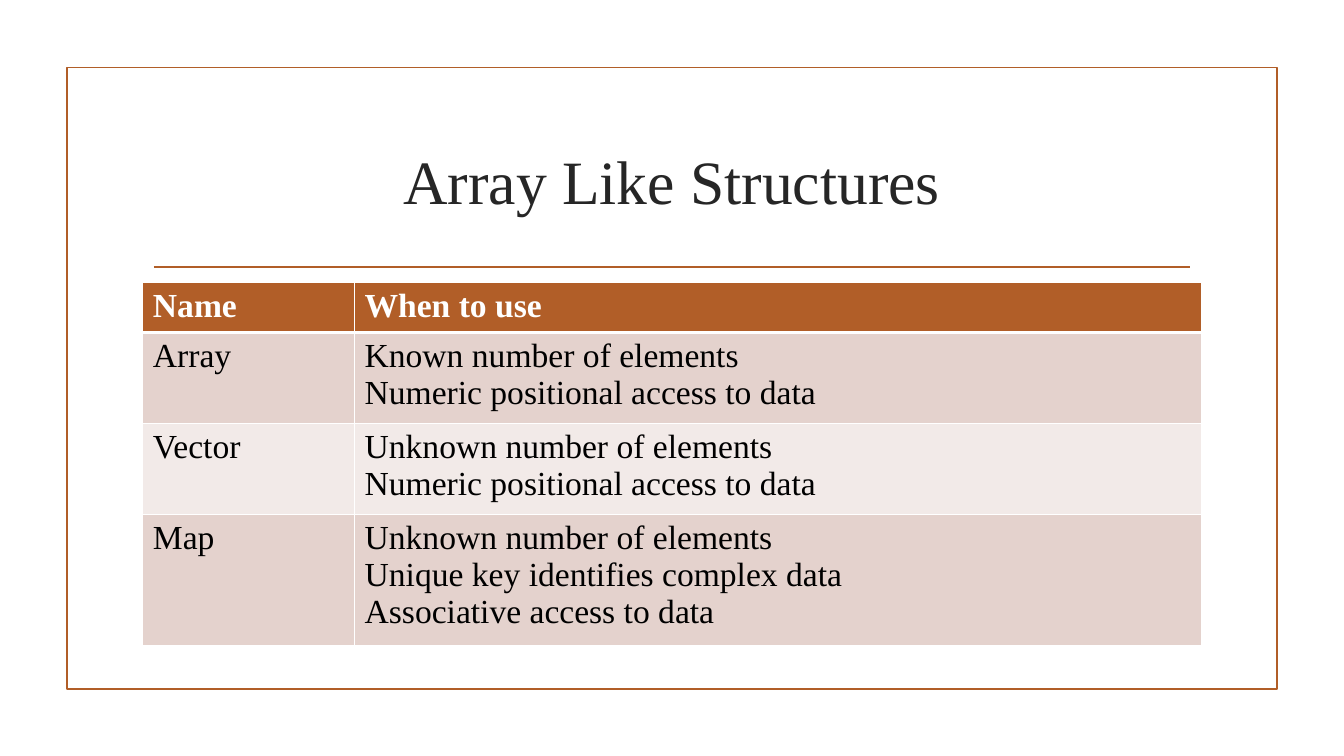
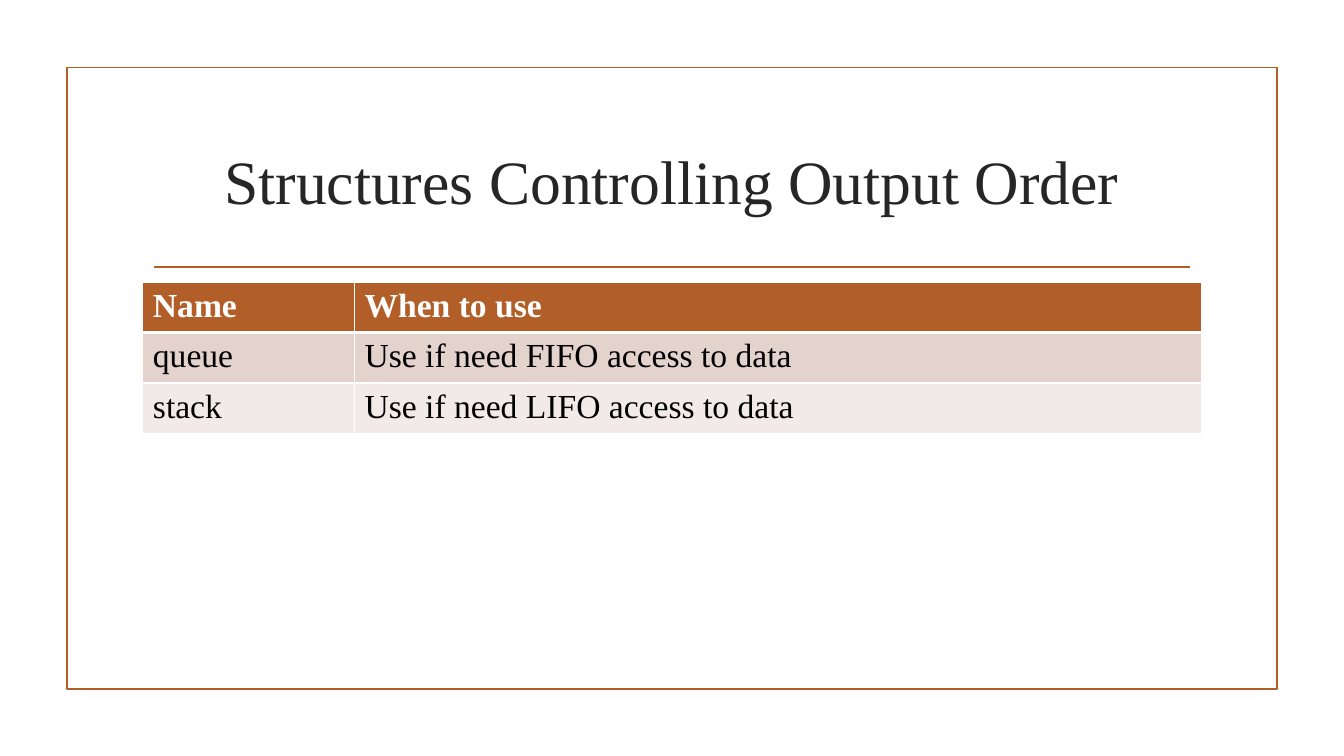
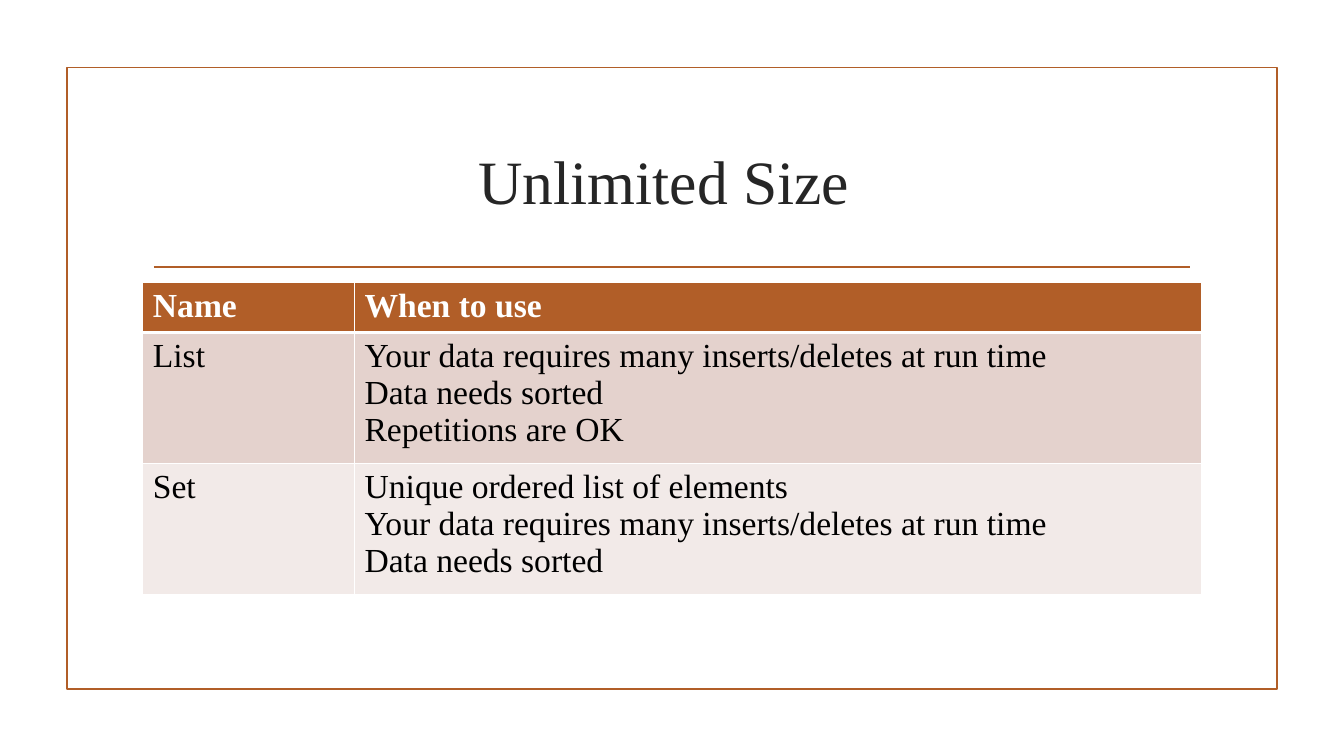
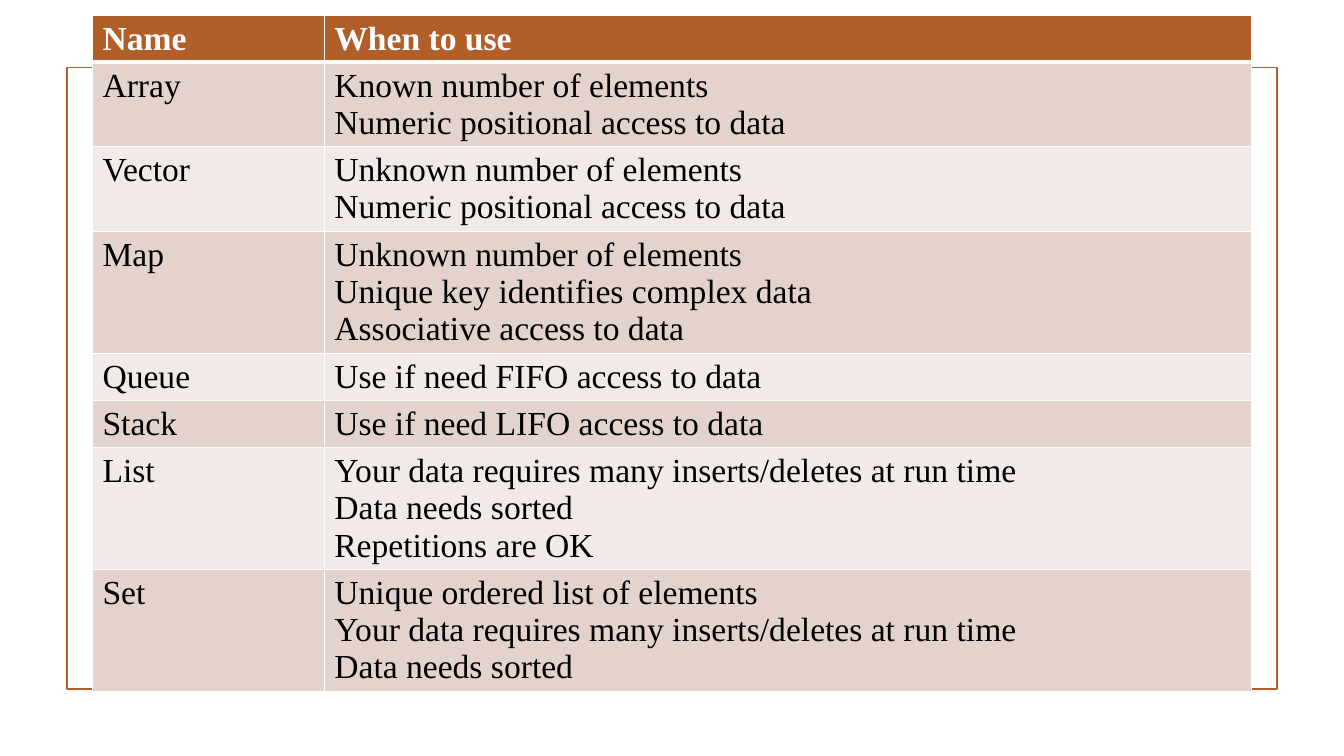
from lxml.etree import SubElement
from pptx import Presentation
from pptx.dml.color import RGBColor
from pptx.enum.shapes import MSO_CONNECTOR, MSO_SHAPE
from pptx.enum.text import MSO_ANCHOR, PP_ALIGN
from pptx.oxml.ns import qn
from pptx.util import Cm, Pt

ARRAY_LIKE = [
    ("Array", ["Known number of elements", "Numeric positional access to data"]),
    ("Vector", ["Unknown number of elements", "Numeric positional access to data"]),
    ("Map", ["Unknown number of elements", "Unique key identifies complex data",
             "Associative access to data"]),
]
OUTPUT_ORDER = [
    ("queue", ["Use if need FIFO access to data"]),
    ("stack", ["Use if need LIFO access to data"]),
]
UNLIMITED = [
    ("List", ["Your data requires many inserts/deletes at run time",
              "Data needs sorted", "Repetitions are OK"]),
    ("Set", ["Unique ordered list of elements",
             "Your data requires many inserts/deletes at run time",
             "Data needs sorted"]),
]
SUMMARY = (ARRAY_LIKE
           + [(name.capitalize(), uses) for name, uses in OUTPUT_ORDER]
           + UNLIMITED)
HEADER = ("Name", ["When to use"])

# Title, table rows, table top and table width in cm
SLIDES = [
    ("Array Like Structures", ARRAY_LIKE, 7.11, 26.67),
    ("Structures Controlling Output Order", OUTPUT_ORDER, 7.11, 26.67),
    ("Unlimited Size ", UNLIMITED, 7.11, 26.67),
    (None, SUMMARY, 0.38, 29.21),
]

COLORS = {"accent": "B15E28", "title": "262626", "text": "000000",
          "white": "FFFFFF", "band_dark": "E4D2CD", "band_light": "F2EAE8"}
FONT = "Times New Roman"
TITLE_FORMAT = {"name": FONT, "size": Pt(44), "bold": False}
HEADER_FORMAT = {"name": FONT, "size": Pt(24), "bold": True}
BODY_FORMAT = {**HEADER_FORMAT, "bold": False}

SLIDE_WIDTH, SLIDE_HEIGHT = 33.87, 19.05
FRAME_WIDTH, RULE_WIDTH, TITLE_WIDTH = 30.48, 26.11, 26.67
LINE_HEIGHT, CELL_PADDING = 0.94, 0.25
NAME_SHARE = 0.2


def rgb(color):
    return RGBColor.from_string(COLORS[color])


def centred(width):
    """Left edge, in cm, of something centred across the slide."""
    return (SLIDE_WIDTH - width) / 2


def format_text(text_frame, values, color):
    for paragraph in text_frame.paragraphs:
        for run in paragraph.runs:
            for attribute, value in values.items():
                setattr(run.font, attribute, value)
            run.font.color.rgb = rgb(color)


def accent_line(line):
    line.color.rgb = rgb("accent")
    line.width = Pt(1.25)


def add_frame(slide):
    frame = slide.shapes.add_shape(
        MSO_SHAPE.RECTANGLE, Cm(centred(FRAME_WIDTH)), Cm(1.7), Cm(FRAME_WIDTH), Cm(15.67))
    frame.shadow.inherit = False
    frame.fill.background()
    accent_line(frame.line)

    left = centred(RULE_WIDTH)
    rule = slide.shapes.add_connector(
        MSO_CONNECTOR.STRAIGHT, Cm(left), Cm(6.73), Cm(left + RULE_WIDTH), Cm(6.73))
    accent_line(rule.line)
    SubElement(rule._element.spPr, qn("a:effectLst"))


def add_title(slide, title):
    box = slide.shapes.add_textbox(
        Cm(centred(TITLE_WIDTH)), Cm(2.72), Cm(TITLE_WIDTH), Cm(3.63))
    text_frame = box.text_frame
    text_frame.word_wrap = True
    text_frame.vertical_anchor = MSO_ANCHOR.MIDDLE
    text_frame.text = title
    text_frame.paragraphs[0].alignment = PP_ALIGN.CENTER
    format_text(text_frame, TITLE_FORMAT, "title")


def set_borders(cell, top, bottom):
    """White borders: 1 pt at the sides, the given points above and below."""
    properties = cell._tc.get_or_add_tcPr()
    for side, points in (("L", 1), ("R", 1), ("T", top), ("B", bottom)):
        border = SubElement(properties, qn(f"a:ln{side}"), w=str(Pt(points)))
        fill = SubElement(border, qn("a:solidFill"))
        SubElement(fill, qn("a:srgbClr"), val=COLORS["white"])


def add_structure_table(slide, structures, top, width):
    rows = [HEADER] + structures
    heights = [len(uses) * LINE_HEIGHT + CELL_PADDING for _, uses in rows]
    table = slide.shapes.add_table(
        len(rows), 2, Cm(centred(width)), Cm(top), Cm(width), Cm(sum(heights))).table
    for column, share in zip(table.columns, (NAME_SHARE, 1 - NAME_SHARE)):
        column.width = Cm(width * share)

    for index, (name, uses) in enumerate(rows):
        table.rows[index].height = Cm(heights[index])
        if index == 0:
            fill, color, values = "accent", "white", HEADER_FORMAT
        else:
            fill = "band_dark" if index % 2 else "band_light"
            color, values = "text", BODY_FORMAT
        for cell, text in zip(table.rows[index].cells, (name, "\n".join(uses))):
            cell.text = text
            format_text(cell.text_frame, values, color)
            set_borders(cell, 3 if index == 1 else 1, 3 if index == 0 else 1)
            cell.fill.solid()
            cell.fill.fore_color.rgb = rgb(fill)


def main():
    presentation = Presentation()
    presentation.slide_width = Cm(SLIDE_WIDTH)
    presentation.slide_height = Cm(SLIDE_HEIGHT)
    for title, structures, top, width in SLIDES:
        slide = presentation.slides.add_slide(presentation.slide_layouts[6])
        add_frame(slide)
        if title:
            add_title(slide, title)
        add_structure_table(slide, structures, top, width)
    presentation.save("out.pptx")


if __name__ == "__main__":
    main()
